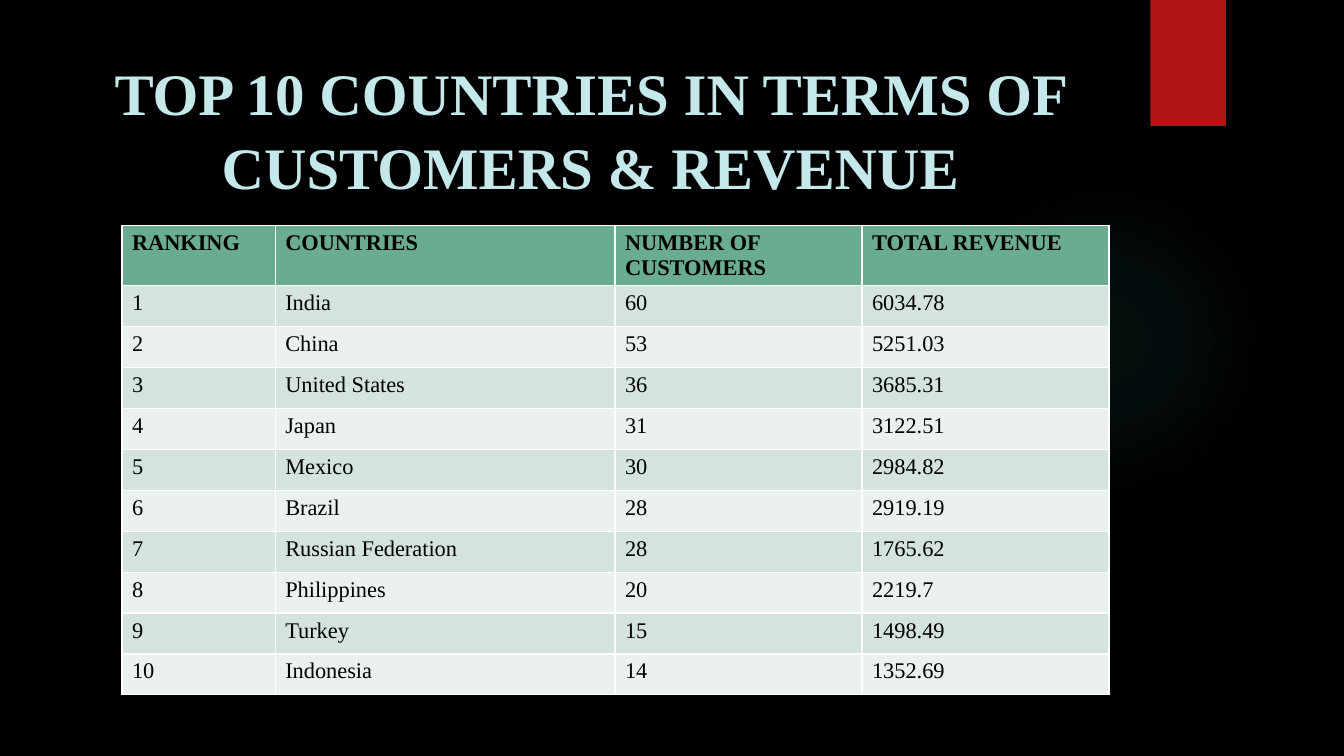
from lxml.etree import SubElement
from pptx import Presentation
from pptx.dml.color import RGBColor
from pptx.enum.shapes import MSO_SHAPE
from pptx.enum.text import MSO_ANCHOR, PP_ALIGN
from pptx.oxml.ns import qn
from pptx.util import Inches, Pt

FONT = "Times New Roman"
TITLE = "TOP 10 COUNTRIES IN TERMS OF CUSTOMERS & REVENUE"
HEADINGS = ["RANKING", "COUNTRIES", "NUMBER OF CUSTOMERS", "TOTAL REVENUE"]
COUNTRIES = [
    ("India", 60, 6034.78),
    ("China", 53, 5251.03),
    ("United States", 36, 3685.31),
    ("Japan", 31, 3122.51),
    ("Mexico", 30, 2984.82),
    ("Brazil", 28, 2919.19),
    ("Russian Federation", 28, 1765.62),
    ("Philippines", 20, 2219.7),
    ("Turkey", 15, 1498.49),
    ("Indonesia", 14, 1352.69),
]
COLUMN_WIDTHS = [1.52, 3.37, 2.45, 2.45]
TABLE_HEIGHT, HEADER_HEIGHT = 4.65, 0.59
HEADER_FILL, BAND_FILLS = "6AAC90", ["D4E3DB", "EBF1EE"]
GLOW_COLOUR, GLOW_STOPS = "50B9C1", [(0, 7), (36, 6), (69, 0)]


def paint(fill, colour):
    fill.solid()
    fill.fore_color.rgb = RGBColor.from_string(colour)


def format_text(para, size, colour, bold):
    for span in para.runs:
        span.font.name = FONT
        span.font.size = Pt(size)
        span.font.bold = bold
        span.font.color.rgb = RGBColor.from_string(colour)


def add_plain_shape(page, kind, left, top, width, height, colour):
    shape = page.shapes.add_shape(
        kind, Inches(left), Inches(top), Inches(width), Inches(height))
    shape.shadow.inherit = False
    shape.line.fill.background()
    paint(shape.fill, colour)
    return shape


def add_glow(page):
    glow = add_plain_shape(page, MSO_SHAPE.OVAL, 9.41, 1.83, 3.08, 3.08, GLOW_COLOUR)
    # Radial gradient that fades to transparent
    glow.fill.gradient()
    gradient = glow.element.spPr.find(qn("a:gradFill"))
    for child in list(gradient):
        gradient.remove(child)
    stops = SubElement(gradient, qn("a:gsLst"))
    for position, opacity in GLOW_STOPS:
        stop = SubElement(stops, qn("a:gs"), pos=str(position * 1000))
        colour = SubElement(stop, qn("a:srgbClr"), val=GLOW_COLOUR)
        SubElement(colour, qn("a:alpha"), val=str(opacity * 1000))
    circle = SubElement(gradient, qn("a:path"), path="circle")
    SubElement(circle, qn("a:fillToRect"), l="50000", t="50000", r="50000", b="50000")


def set_title(page):
    title = page.shapes.title
    title.left, title.top = Inches(0.71), Inches(0.5)
    title.width, title.height = Inches(10.29), Inches(1.53)
    title.text_frame.text = TITLE
    title.text_frame.word_wrap = True
    title.text_frame.vertical_anchor = MSO_ANCHOR.MIDDLE
    para = title.text_frame.paragraphs[0]
    para.alignment = PP_ALIGN.CENTER
    para.line_spacing = 1.05
    format_text(para, 42, "C5E8EA", True)


def add_ranking_table(page):
    rows = [HEADINGS] + [(rank, *entry) for rank, entry in enumerate(COUNTRIES, 1)]
    table = page.shapes.add_table(
        len(rows), len(HEADINGS), Inches(1.21), Inches(2.24),
        Inches(sum(COLUMN_WIDTHS)), Inches(TABLE_HEIGHT)).table
    for column, width in zip(table.columns, COLUMN_WIDTHS):
        column.width = Inches(width)
    row_height = (TABLE_HEIGHT - HEADER_HEIGHT) / len(COUNTRIES)
    for index, values in enumerate(rows):
        is_header = index == 0
        table.rows[index].height = Inches(HEADER_HEIGHT if is_header else row_height)
        for cell, value in zip(table.rows[index].cells, values):
            cell.text_frame.text = str(value)
            format_text(cell.text_frame.paragraphs[0], 16, "000000", is_header)
            paint(cell.fill, HEADER_FILL if is_header else BAND_FILLS[(index - 1) % 2])


def main():
    deck = Presentation()
    deck.slide_width, deck.slide_height = Inches(13.33), Inches(7.5)
    page = deck.slides.add_slide(deck.slide_layouts[5])
    paint(page.background.fill, "000000")

    # Decoration
    add_glow(page)
    add_plain_shape(page, MSO_SHAPE.RECTANGLE, 11.41, 0, 0.75, 1.25, "B01513")

    # Content
    set_title(page)
    add_ranking_table(page)
    deck.save("out.pptx")


if __name__ == "__main__":
    main()
